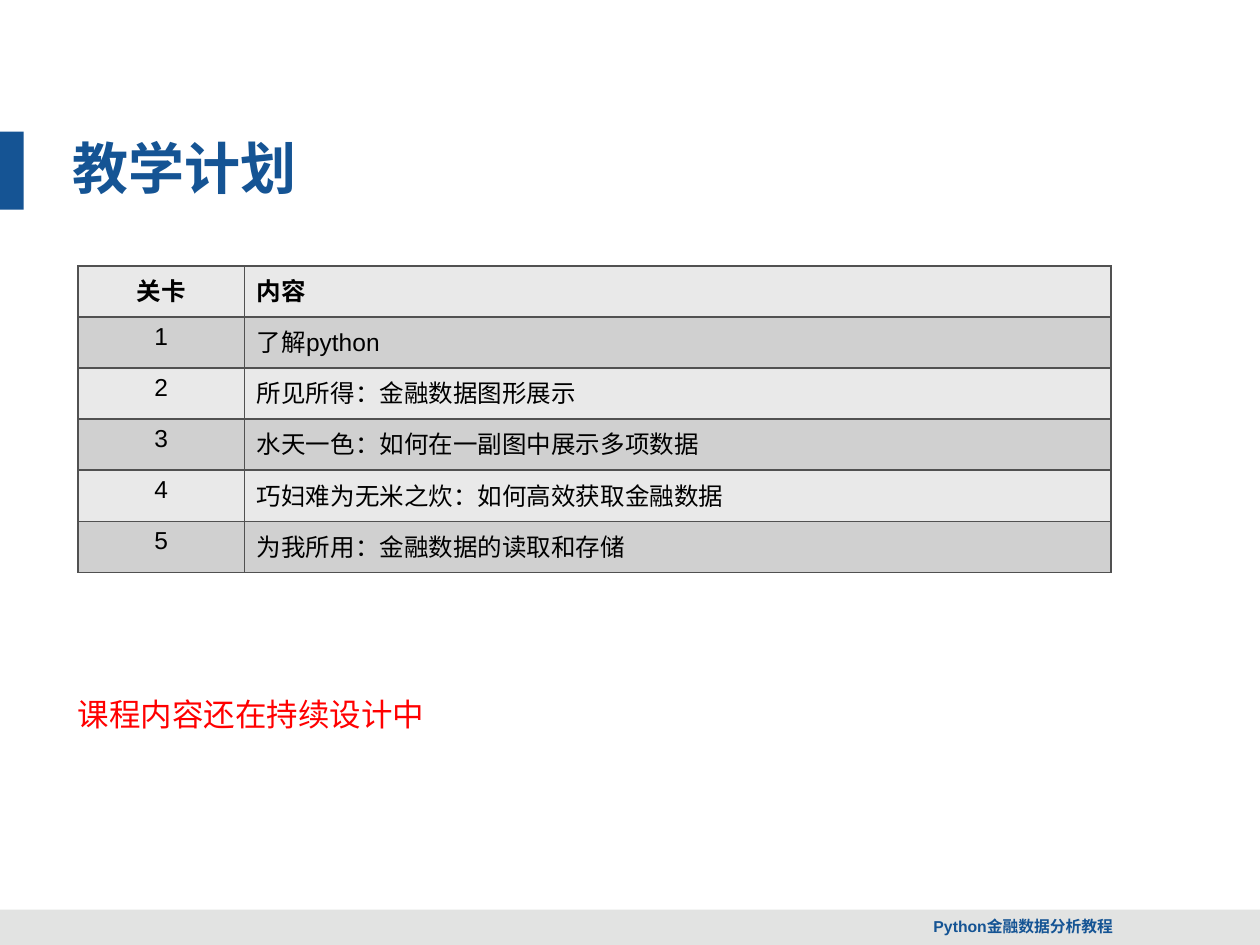
"""Build the teaching plan slide with its course table."""
from lxml import etree
from pptx import Presentation
from pptx.dml.color import RGBColor
from pptx.enum.lang import MSO_LANGUAGE_ID
from pptx.enum.shapes import MSO_SHAPE
from pptx.enum.text import MSO_ANCHOR, MSO_AUTO_SIZE, PP_ALIGN
from pptx.oxml.ns import qn
from pptx.util import Pt

RECTANGLE = MSO_SHAPE.RECTANGLE
CHINESE = MSO_LANGUAGE_ID.SIMPLIFIED_CHINESE
TOP, MIDDLE = MSO_ANCHOR.TOP, MSO_ANCHOR.MIDDLE
LEFT, CENTER, RIGHT = PP_ALIGN.LEFT, PP_ALIGN.CENTER, PP_ALIGN.RIGHT
FIT_SHAPE = MSO_AUTO_SIZE.SHAPE_TO_FIT_TEXT

BLUE = RGBColor(0x15, 0x54, 0x94)
FOOTER_GRAY = RGBColor(0xE2, 0xE3, 0xE2)
LIGHT_ROW = RGBColor(0xE9, 0xE9, 0xE9)
DARK_ROW = RGBColor(0xD0, 0xD0, 0xD0)
BORDER = RGBColor(0x51, 0x51, 0x51)
BLACK = RGBColor(0, 0, 0)
RED = RGBColor(0xFF, 0, 0)

COLUMN_WIDTHS = (95, 495.4)
ROW_HEIGHT = 29.2
ROWS = (
    ("关卡", "内容"),
    ("1", "了解python"),
    ("2", "所见所得：金融数据图形展示"),
    ("3", "水天一色：如何在一副图中展示多项数据"),
    ("4", "巧妇难为无米之炊：如何高效获取金融数据"),
    ("5", "为我所用：金融数据的读取和存储"),
)


def write_text(frame, text, size, color, bold=False, align=LEFT, anchor=TOP, wrap=True):
    frame.word_wrap = wrap
    frame.vertical_anchor = anchor
    paragraph = frame.paragraphs[0]
    paragraph.alignment = align
    run = paragraph.add_run()
    run.text = text
    run.font.name = "Arial"
    run.font.size = Pt(size)
    run.font.bold = bold
    run.font.color.rgb = color
    run.font.language_id = CHINESE
    return paragraph


def add_borders(cell):
    properties = cell._tc.get_or_add_tcPr()
    for index, side in enumerate(("a:lnL", "a:lnR", "a:lnT", "a:lnB")):
        line = etree.Element(qn(side), w=str(Pt(1)))
        fill = etree.SubElement(line, qn("a:solidFill"))
        etree.SubElement(fill, qn("a:srgbClr"), val=str(BORDER))
        properties.insert(index, line)


presentation = Presentation()
presentation.slide_width = Pt(720)
presentation.slide_height = Pt(540)
slide = presentation.slides.add_slide(presentation.slide_layouts[6])
shapes = slide.shapes

for left, top, width, height, color in (
    (0, 519.8, 720, 20.2, FOOTER_GRAY),
    (0, 75.3, 13.5, 44.5, BLUE),
):
    shape = shapes.add_shape(RECTANGLE, Pt(left), Pt(top), Pt(width), Pt(height))
    shape.shadow.inherit = False
    shape.fill.solid()
    shape.fill.fore_color.rgb = color
    shape.line.fill.background()

title = shapes.add_textbox(Pt(34.6), Pt(73.4), Pt(668.9), Pt(44.6))
write_text(title.text_frame, "教学计划", 32, BLUE, bold=True, anchor=MIDDLE)

footer = shapes.add_textbox(Pt(511.2), Pt(519.8), Pt(131.8), Pt(19.4))
write_text(footer.text_frame, "Python金融数据分析教程", 9, BLUE, bold=True,
           align=RIGHT, anchor=MIDDLE)

table = shapes.add_table(
    len(ROWS), len(COLUMN_WIDTHS), Pt(44.6), Pt(151.9),
    Pt(sum(COLUMN_WIDTHS)), Pt(ROW_HEIGHT * len(ROWS))).table
for column, width in zip(table.columns, COLUMN_WIDTHS):
    column.width = Pt(width)
for row_index, texts in enumerate(ROWS):
    table.rows[row_index].height = Pt(ROW_HEIGHT)
    for column_index, text in enumerate(texts):
        cell = table.cell(row_index, column_index)
        cell.fill.solid()
        cell.fill.fore_color.rgb = DARK_ROW if row_index % 2 else LIGHT_ROW
        add_borders(cell)
        write_text(cell.text_frame, text, 14, BLACK, bold=row_index == 0,
                   align=LEFT if column_index else CENTER)

note = shapes.add_textbox(Pt(37.4), Pt(372.2), Pt(214.6), Pt(43.9))
paragraph = write_text(note.text_frame, "课程内容还在持续设计中", 18, RED, wrap=False)
paragraph.line_spacing = 2.0
note.text_frame.auto_size = FIT_SHAPE

presentation.save("out.pptx")
